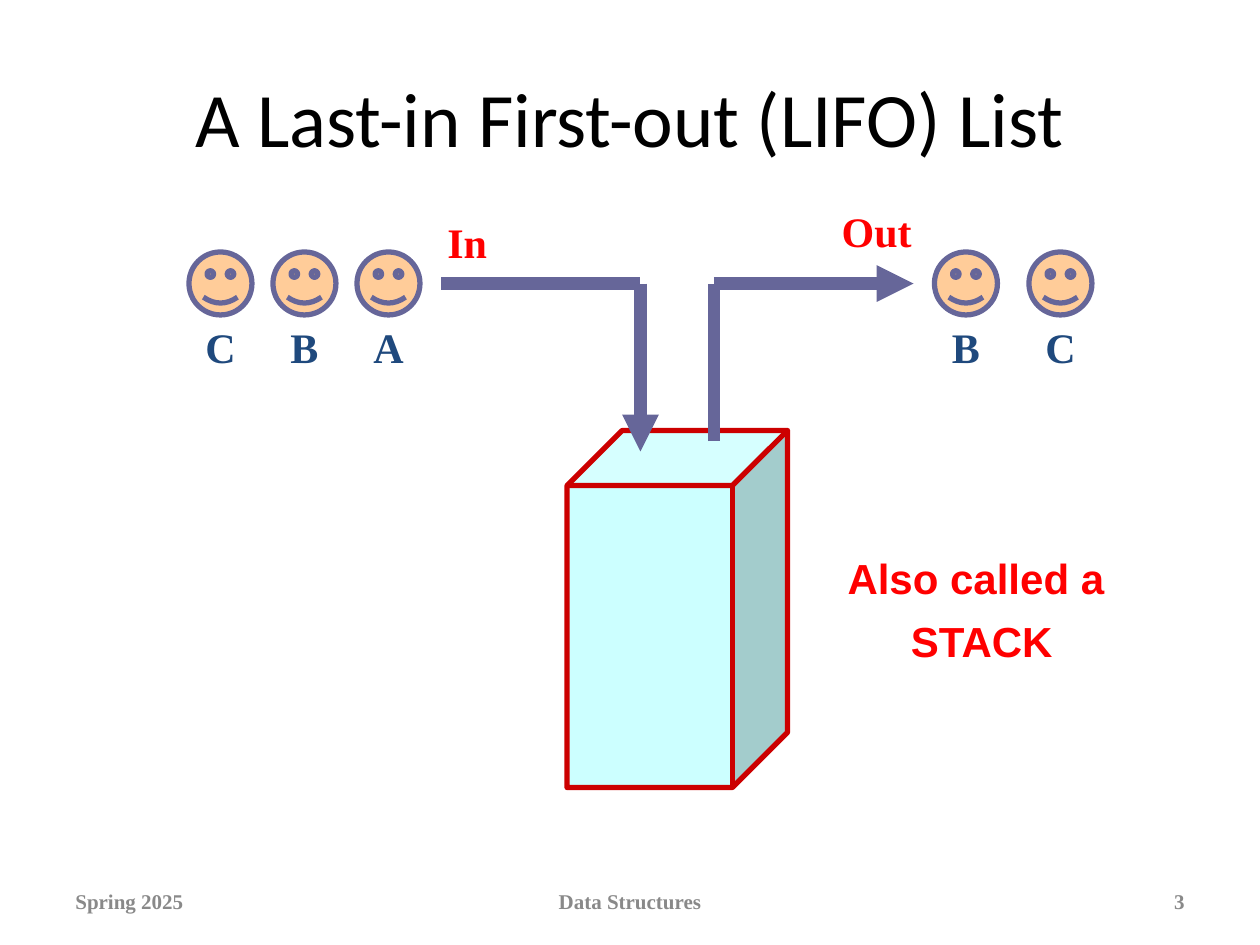
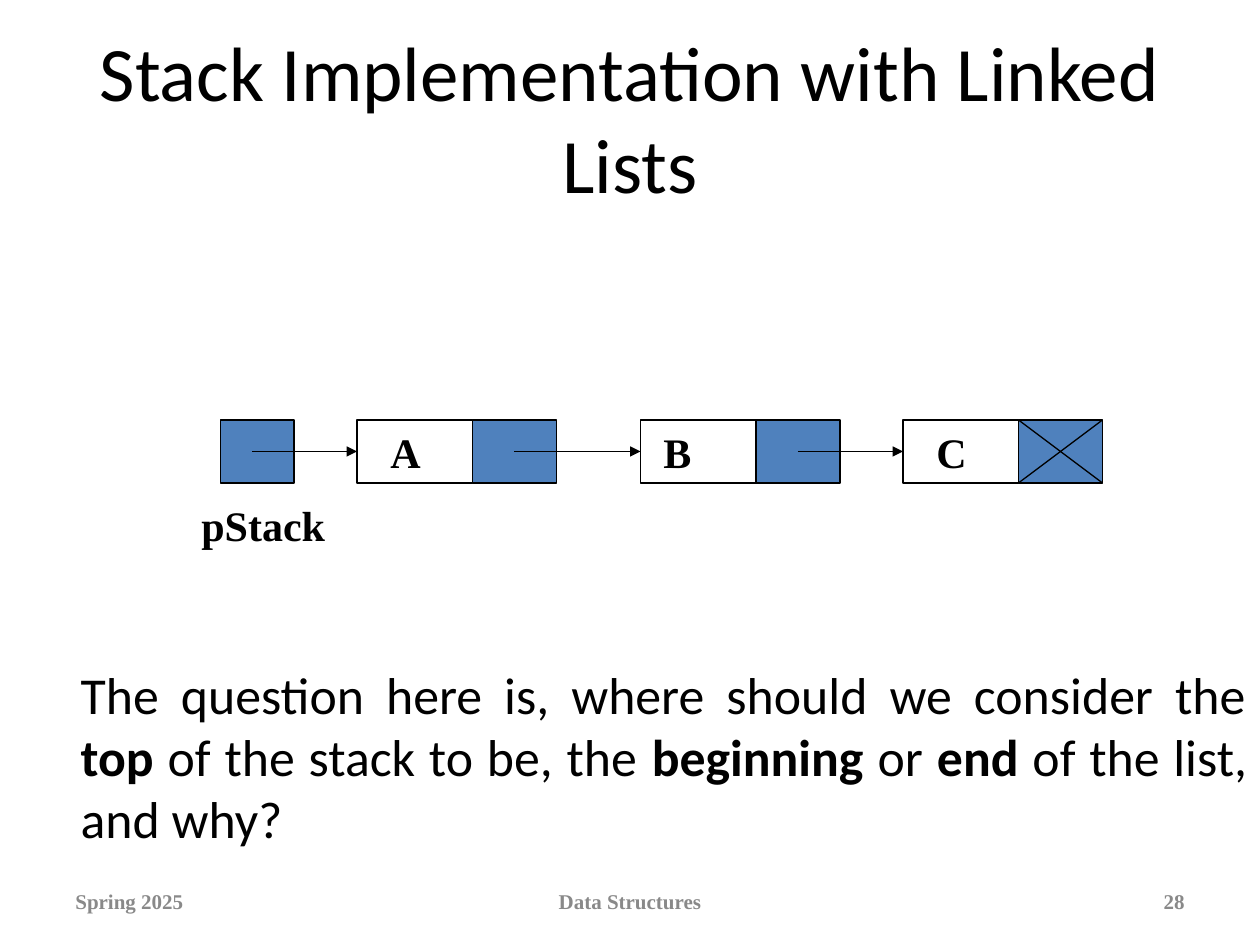
"""Build two slides on stacks: the LIFO idea and the linked list version."""
from typing import NamedTuple, Optional

from lxml.etree import SubElement
from pptx import Presentation
from pptx.dml.color import RGBColor
from pptx.enum.shapes import MSO_CONNECTOR as Connector, MSO_SHAPE as Shape
from pptx.enum.text import MSO_ANCHOR as Anchor, PP_ALIGN as Align
from pptx.oxml.ns import qn
from pptx.slide import Slide
from pptx.text.text import TextFrame
from pptx.util import Emu, Inches, Pt

WIDTH, HEIGHT = Inches(10), Inches(7.5)
COLUMNS, ROWS = 120, 90

BLACK = RGBColor(0x00, 0x00, 0x00)
WHITE = RGBColor(0xFF, 0xFF, 0xFF)
GRAY = RGBColor(0x89, 0x89, 0x89)
RED = RGBColor(0xFF, 0x00, 0x00)
DARK_RED = RGBColor(0xCC, 0x00, 0x00)
NAVY = RGBColor(0x1F, 0x49, 0x7D)
BLUE = RGBColor(0x4F, 0x81, 0xBD)
VIOLET = RGBColor(0x66, 0x66, 0x99)
PEACH = RGBColor(0xFF, 0xCC, 0x99)
CYAN = RGBColor(0xCC, 0xFF, 0xFF)

SANS, SERIF, ARIAL = "Calibri", "Times New Roman", "Arial"


class Area(NamedTuple):
    """A rectangle in grid columns and rows."""
    col: float
    row: float
    cols: float
    rows: float


class Type(NamedTuple):
    """The look of a text."""
    font: str
    size: float
    color: RGBColor
    bold: bool = False
    align: Align = Align.CENTER
    anchor: Anchor = Anchor.TOP
    space_before: float = 0


class Look(NamedTuple):
    """The fill and outline of a shape."""
    fill: RGBColor
    line: RGBColor
    weight: float


class Stroke(NamedTuple):
    """A straight line between two grid points."""
    start: tuple[float, float]
    end: tuple[float, float]
    arrow: bool = False


class Node(NamedTuple):
    """A list node with its letter and the letter's indent."""
    letter: str
    col: float
    indent: float


TITLE = Type(SANS, 44, BLACK, anchor=Anchor.MIDDLE)
FOOTER = Type(SERIF, 12, GRAY, True, anchor=Anchor.MIDDLE)
DIRECTION = Type(SERIF, 24, RED, True)
FACE_LETTER = Type(SERIF, 24, NAVY, True)
NODE_LETTER = Type(SERIF, 24, BLACK, True, Align.LEFT)
REMARK = Type(ARIAL, 24, RED, True, space_before=7.2)
QUESTION = Type(SANS, 29.6, BLACK, align=Align.JUSTIFY)

FACE = Look(PEACH, VIOLET, 3)
CONTAINER = Look(CYAN, DARK_RED, 3)
DATA = Look(WHITE, BLACK, 0.75)
LINK = Look(BLUE, BLACK, 0.75)

FOOTER_ROW, FOOTER_ROWS = 83.4, 4.8
FACE_ROW, FACE_SIZE = 24, 6
FACES = [("C", 18), ("B", 26), ("A", 34), ("B", 89), ("C", 98)]
FLOW_ROW, IN_COL, OUT_COL = 27, 61, 68
FLOW = [
    Stroke((IN_COL, FLOW_ROW), (IN_COL, 43), True),
    Stroke((IN_COL, FLOW_ROW), (42, FLOW_ROW)),
    Stroke((OUT_COL, 42), (OUT_COL, FLOW_ROW)),
    Stroke((OUT_COL, FLOW_ROW), (87, FLOW_ROW), True),
]
LIST_ROW, LIST_ROWS = 40, 6
DATA_COLS, LINK_COLS = 11, 8
HEAD_COL, HEAD_COLS = 21, 7
NODES = [Node("A", 34, 2), Node("B", 61, 1), Node("C", 86, 2)]
QUESTION_PHRASES = [
    ("The question here is, where should we consider the ", False),
    ("top", True),
    (" of the stack to be, the ", False),
    ("beginning", True),
    (" or ", False),
    ("end", True),
    (" of the list, and why?", False),
]


def across(cols: float) -> Emu:
    """Turn grid columns into a length."""
    return Emu(round(WIDTH * cols / COLUMNS))


def down(rows: float) -> Emu:
    """Turn grid rows into a length."""
    return Emu(round(HEIGHT * rows / ROWS))


def place(area: Area) -> tuple[Emu, Emu, Emu, Emu]:
    """Turn a grid area into left, top, width and height."""
    return across(area.col), down(area.row), across(area.cols), down(area.rows)


def write(slide: Slide, area: Area, text: str, style: Type) -> TextFrame:
    """Add a wrapped text in one style."""
    frame = slide.shapes.add_textbox(*place(area)).text_frame
    frame.word_wrap = True
    frame.vertical_anchor = style.anchor
    frame.text = text
    for index, paragraph in enumerate(frame.paragraphs):
        paragraph.alignment = style.align
        if index:
            paragraph.space_before = Pt(style.space_before)
        for run in paragraph.runs:
            set_font(run.font, style, style.bold)
    return frame


def set_font(font, style: Type, bold: bool) -> None:
    """Give a run's font the look of a style."""
    font.name, font.size, font.bold = style.font, Pt(style.size), bold
    font.color.rgb = style.color


def draw(slide: Slide, kind: Shape, area: Area, look: Look) -> None:
    """Add a filled and outlined preset shape."""
    shape = slide.shapes.add_shape(kind, *place(area))
    shape.shadow.inherit = False
    shape.fill.solid()
    shape.fill.fore_color.rgb = look.fill
    shape.line.color.rgb = look.line
    shape.line.width = Pt(look.weight)
    if kind == Shape.SMILEY_FACE:
        shape.adjustments[0] = 0.0465 * 2 * 0.5


def connect(slide: Slide, stroke: Stroke, color: RGBColor, weight: float) -> None:
    """Add a line, with an arrowhead at its end if asked."""
    (col, row), (end_col, end_row) = stroke.start, stroke.end
    line = slide.shapes.add_connector(
        Connector.STRAIGHT, across(col), down(row), across(end_col), down(end_row))
    line.line.color.rgb = color
    line.line.width = Pt(weight)
    if stroke.arrow:
        SubElement(line.line._get_or_add_ln(), qn("a:tailEnd"), type="triangle")
    SubElement(line._element.spPr, qn("a:effectLst"))


def start_slide(deck: Presentation, title: str, number: int) -> Slide:
    """Add a blank slide with its title and footers."""
    slide = deck.slides.add_slide(deck.slide_layouts[6])
    write(slide, Area(6, 3.6, 108, 15), title, TITLE)
    for text, col, cols, align in (
            ("Spring 2025", 6, 28, Align.LEFT),
            ("Data Structures", 41, 38, Align.CENTER),
            (str(number), 86, 28, Align.RIGHT)):
        write(slide, Area(col, FOOTER_ROW, cols, FOOTER_ROWS), text,
              FOOTER._replace(align=align))
    return slide


def build_lifo(deck: Presentation) -> None:
    """Show faces entering and leaving a container."""
    slide = start_slide(deck, "A Last-in First-out (LIFO) List", 3)
    draw(slide, Shape.CUBE, Area(54, 41, 21, 34), CONTAINER)
    for stroke in FLOW:
        connect(slide, stroke, VIOLET, 7)
    write(slide, Area(39, 20, 11, 6), "In", DIRECTION)
    write(slide, Area(78, 19, 11, 6), "Out", DIRECTION)
    for letter, col in FACES:
        draw(slide, Shape.SMILEY_FACE, Area(col, FACE_ROW, FACE_SIZE, FACE_SIZE), FACE)
        write(slide, Area(col - 1, FACE_ROW + FACE_SIZE, FACE_SIZE + 2, 6),
              letter, FACE_LETTER)
    write(slide, Area(77, 52, 33, 12), "Also called a \nSTACK", REMARK)


def build_linked_list(deck: Presentation) -> None:
    """Show a linked list and ask where the top belongs."""
    slide = start_slide(deck, "Stack Implementation with Linked Lists", 28)
    draw(slide, Shape.RECTANGLE, Area(HEAD_COL, LIST_ROW, HEAD_COLS, LIST_ROWS), LINK)
    for node in NODES:
        draw(slide, Shape.RECTANGLE,
             Area(node.col, LIST_ROW, DATA_COLS, LIST_ROWS), DATA)
        draw(slide, Shape.RECTANGLE,
             Area(node.col + DATA_COLS, LIST_ROW, LINK_COLS, LIST_ROWS), LINK)
        write(slide, Area(node.col + node.indent, LIST_ROW, DATA_COLS, LIST_ROWS),
              node.letter, NODE_LETTER)

    middle, bottom = LIST_ROW + LIST_ROWS / 2, LIST_ROW + LIST_ROWS
    sources = [HEAD_COL + 3] + [
        node.col + DATA_COLS + LINK_COLS / 2 for node in NODES[:-1]]
    pointers = [Stroke((source, middle), (node.col, middle), True)
                for source, node in zip(sources, NODES)]
    null_col = NODES[-1].col + DATA_COLS
    null_end = null_col + LINK_COLS
    null_cross = [Stroke((null_col, LIST_ROW), (null_end, bottom)),
                  Stroke((null_col, bottom), (null_end, LIST_ROW))]
    for stroke in pointers + null_cross:
        connect(slide, stroke, BLACK, 0.75)
    write(slide, Area(18, 47, 17, 6), "pStack", NODE_LETTER)

    question = write(slide, Area(6.5, 62.5, 113.5, 19.5), "", QUESTION).paragraphs[0]
    for phrase, bold in QUESTION_PHRASES:
        run = question.add_run()
        run.text = phrase
        set_font(run.font, QUESTION, bold)


def main() -> None:
    """Build and save the deck."""
    deck = Presentation()
    deck.slide_width, deck.slide_height = WIDTH, HEIGHT
    build_lifo(deck)
    build_linked_list(deck)
    deck.save("out.pptx")


if __name__ == "__main__":
    main()
